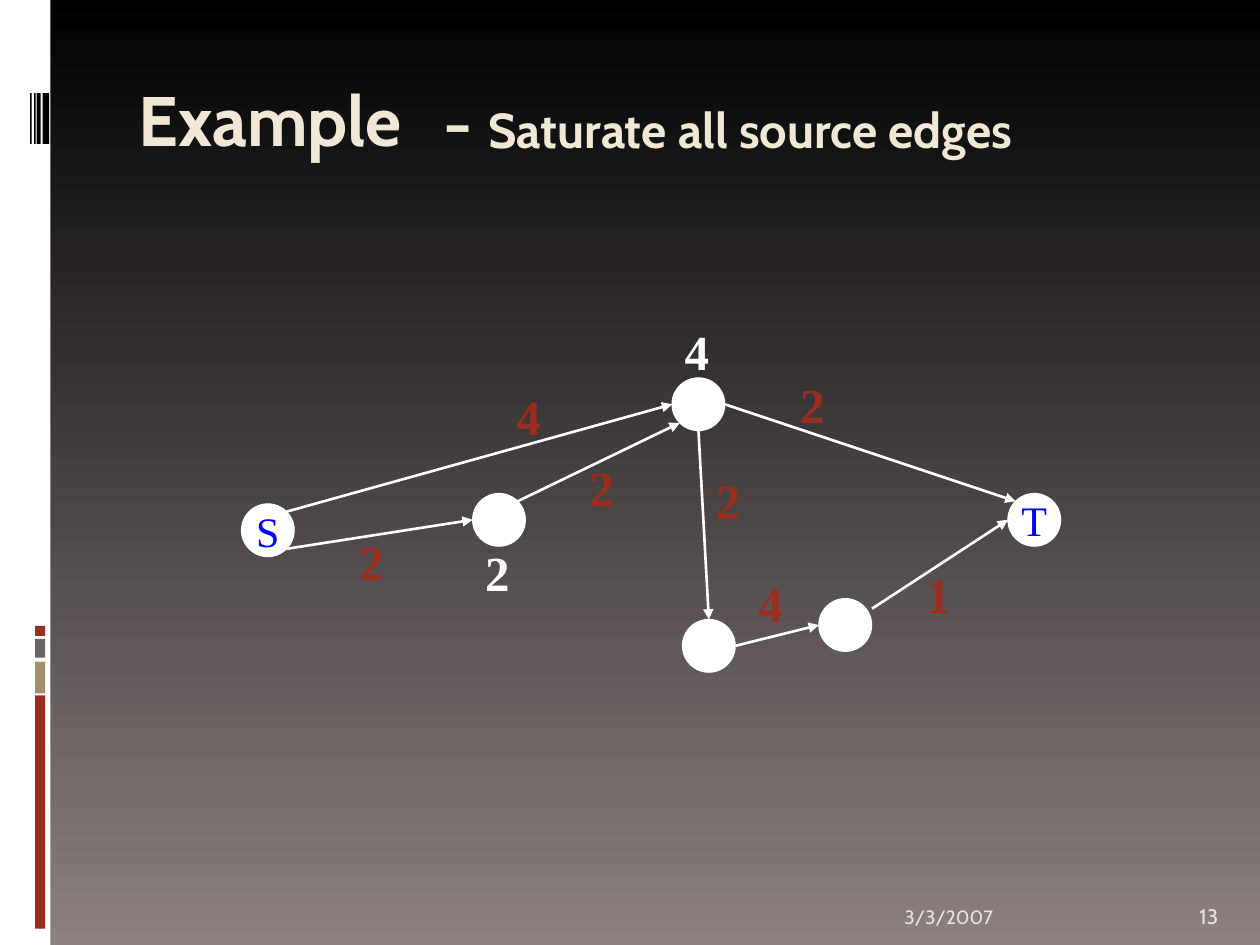
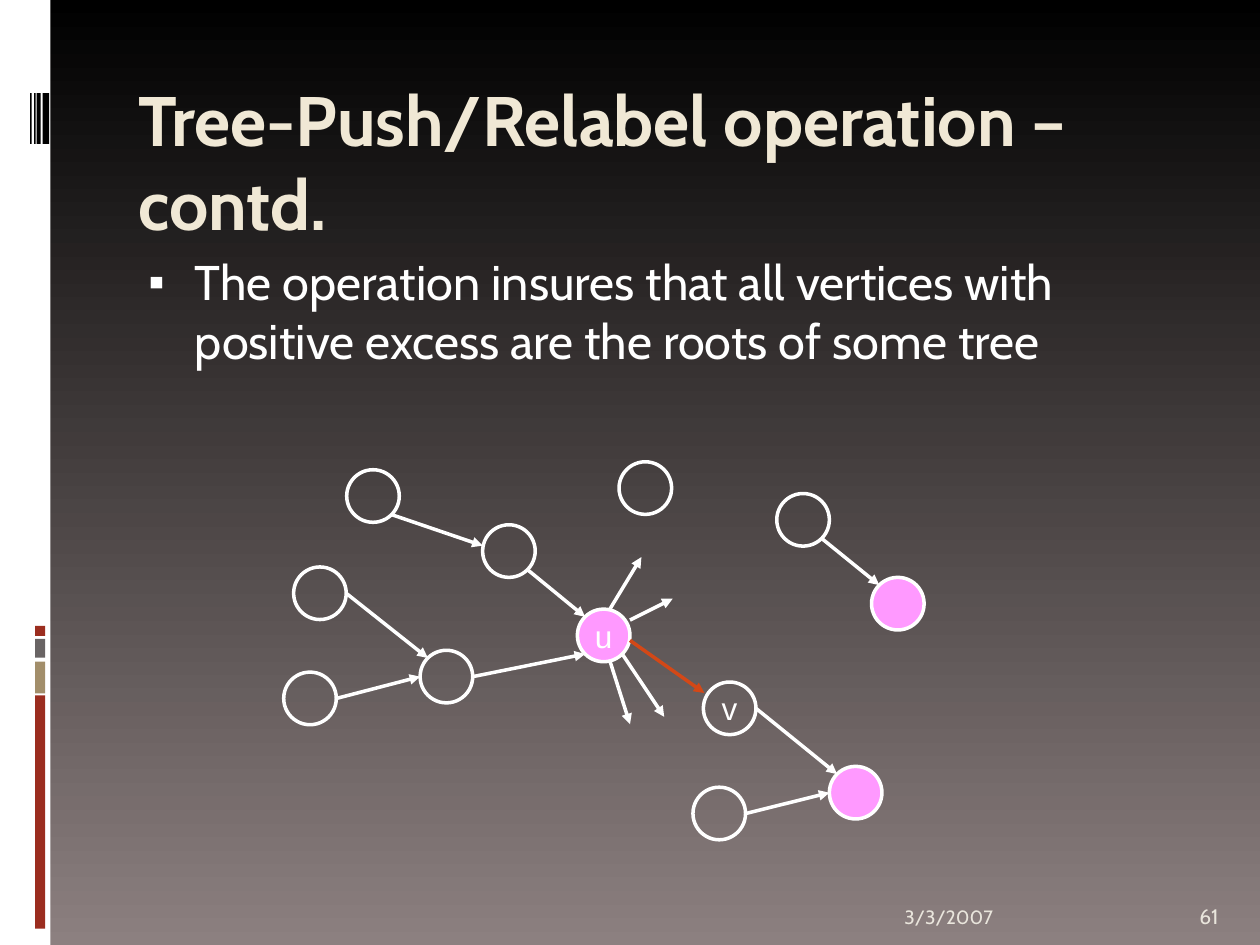
from math import cos, radians, sin

from lxml import etree
from pptx import Presentation
from pptx.dml.color import RGBColor
from pptx.enum.shapes import MSO_CONNECTOR, MSO_SHAPE
from pptx.enum.text import MSO_ANCHOR, MSO_AUTO_SIZE, PP_ALIGN
from pptx.oxml.ns import qn
from pptx.util import Cm, Pt

RECT, OVAL = MSO_SHAPE.RECTANGLE, MSO_SHAPE.OVAL
LINE = MSO_CONNECTOR.STRAIGHT
TOP, MID, LOW = MSO_ANCHOR.TOP, MSO_ANCHOR.MIDDLE, MSO_ANCHOR.BOTTOM
LEFT, CENTER = PP_ALIGN.LEFT, PP_ALIGN.CENTER
FIXED = MSO_AUTO_SIZE.NONE

HUES = {
    "white": "FFFFFF", "black": "000000", "dusk": "8C8080", "cream": "F0E8D5",
    "pale": "E9E5DC", "rust": "9B2D1F", "tan": "A28E6A", "gray": "696464",
    "blue": "0000FF", "pink": "FF99FF", "flame": "D34817",
}
FONTS = {
    "title": {"name": "Cabin", "size": Pt(40), "bold": True},
    "sub": {"name": "Cabin", "size": Pt(28), "bold": True},
    "body": {"name": "Cabin", "size": Pt(27.8), "bold": False},
    "date": {"name": "Cabin", "size": Pt(11)},
    "page": {"name": "Cabin", "size": Pt(12)},
    "label": {"name": "Times New Roman", "size": Pt(28), "bold": True},
    "end": {"name": "Times New Roman", "size": Pt(24)},
    "node": {"name": "Arial", "size": Pt(18)},
}
BANDS = [
    ("white", 0, 0, 1.02, 19.05),
    ("rust", 0.71, 14.02, 0.2, 4.7),
    ("tan", 0.71, 13.34, 0.2, 0.64),
    ("gray", 0.71, 12.88, 0.2, 0.38),
    ("rust", 0.71, 12.62, 0.2, 0.2),
    ("black", 0.86, 1.88, 0.13, 1.02),
    ("black", 0.74, 1.88, 0.08, 1.02),
    ("black", 0.69, 1.88, 0.03, 1.02),
    ("black", 0.61, 1.88, 0.03, 1.02),
]
SITES = ["N", "NW", "W", "SW", "S", "SE", "E", "NE"]
NODE = 1.06


def color(hue):
    return RGBColor.from_string(HUES[hue])


def assign(item, values):
    for key, value in values.items():
        setattr(item, key, value)


def add_tag(parent, tag, **values):
    return etree.SubElement(parent, qn(tag), values)


class Deck:
    def __init__(self):
        self.prs = Presentation()
        assign(self.prs, {"slide_width": Cm(25.4), "slide_height": Cm(19.05)})
        fill = self.prs.slide_master.background.fill
        fill.gradient()
        fill.gradient_angle = 270
        for stop, hue in zip(fill.gradient_stops, ("black", "dusk")):
            stop.color.rgb = color(hue)

    def start(self, layout, title, width, page):
        self.slide = self.prs.slides.add_slide(self.prs.slide_layouts[layout])
        self.shapes = self.slide.shapes
        for hue, *box in BANDS:
            self.band(hue, box)
        self.place(self.shapes.title, (2.54, 1.42, width, 2.54))
        self.letter(self.shapes.title, [(title, "title", "cream")])
        self.text((17.98, 17.83, 5.92, 1.02), [("3/3/2007", "date", "pale")], LOW)
        self.text((23.93, 17.83, 1.27, 1.02), [(page, "page", "pale")], LOW)

    def place(self, shape, box):
        assign(shape, dict(zip(("left", "top", "width", "height"), map(Cm, box))))

    def letter(self, shape, runs, anchor=TOP, align=LEFT, wrap=True):
        frame = shape.text_frame
        assign(frame, {
            "auto_size": FIXED, "word_wrap": wrap, "vertical_anchor": anchor,
            "margin_left": Cm(0.25), "margin_right": Cm(0.25),
            "margin_top": Cm(0.13), "margin_bottom": Cm(0.13),
        })
        para = frame.paragraphs[0]
        assign(para, {"alignment": align, "space_before": Pt(0)})
        for words, style, hue in runs:
            run = para.add_run()
            run.text = words
            assign(run.font, FONTS[style])
            run.font.color.rgb = color(hue)

    def text(self, box, runs, anchor=TOP):
        self.letter(self.shapes.add_textbox(*map(Cm, box)), runs, anchor)

    def label(self, words, left, top, hue="rust"):
        self.text((left, top, NODE, 1.45), [(words, "label", hue)])

    def bullet(self, box, words):
        body = self.slide.placeholders[1]
        self.place(body, box)
        self.letter(body, [(words, "body", "white")])
        props = body.element.find(".//" + qn("a:pPr"))
        props.set("marL", str(Cm(1.14)))
        props.set("indent", str(Cm(-0.94)))
        add_tag(add_tag(props, "a:buClr"), "a:srgbClr", val=HUES["white"])
        add_tag(props, "a:buSzPct", val="95000")
        add_tag(props, "a:buChar", char="▪")

    def band(self, hue, box):
        shape = self.shapes.add_shape(RECT, *map(Cm, box))
        shape.shadow.inherit = False
        shape.fill.solid()
        shape.fill.fore_color.rgb = color(hue)
        shape.line.fill.background()

    def node(self, left, top, fill=None, weight=2, run=None):
        shape = self.shapes.add_shape(OVAL, *map(Cm, (left, top, NODE, NODE)))
        shape.shadow.inherit = False
        if fill:
            shape.fill.solid()
            shape.fill.fore_color.rgb = color(fill)
        else:
            shape.fill.background()
        shape.line.color.rgb = color("white")
        shape.line.width = Pt(weight)
        if run:
            self.letter(shape, [run], MID, CENTER, False)
        return shape

    def point(self, end):
        spot, side = end
        if not isinstance(side, str):
            return Cm(spot), Cm(side)
        turn = radians(90 + 45 * SITES.index(side))
        half = spot.width / 2
        return (round(spot.left + half + half * cos(turn)),
                round(spot.top + half - half * sin(turn)))

    def arrow(self, start, stop, weight=2, hue="white"):
        first, last = self.point(start), self.point(stop)
        link = self.shapes.add_connector(LINE, *first, *last)
        link.line.color.rgb = color(hue)
        link.line.width = Pt(weight)
        props = link.element.spPr
        add_tag(props.find(qn("a:ln")), "a:tailEnd", type="triangle")
        add_tag(props, "a:effectLst")
        joins = ((start, link.begin_connect, "a:stCxn"),
                 (stop, link.end_connect, "a:endCxn"))
        for (spot, side), join, tag in joins:
            if isinstance(side, str):
                join(spot, 0)
                link.element.find(".//" + qn(tag)).set("idx", str(SITES.index(side)))
        assign(link, dict(zip(("begin_x", "begin_y", "end_x", "end_y"), first + last)))


def draw_flow(deck):
    deck.start(5, "Example", 6.99, "13")
    deck.text((8.69, 1.45, 15.24, 2.54), [
        ("- ", "title", "cream"), ("Saturate all source edges", "sub", "cream")])
    spots = {"S": (4.87, 10.16), "a": (9.53, 9.95), "b": (13.55, 7.62),
             "c": (13.76, 12.49), "d": (16.51, 12.07), "T": (20.32, 9.95)}
    nodes = {}
    for name, spot in spots.items():
        run = (name, "end", "blue") if name in "ST" else None
        nodes[name] = deck.node(*spot, "white", 0.75, run)
    s, a, b, c, d, t = nodes.values()
    for start, stop in [
        ((s, "NE"), (b, "W")), ((s, "SE"), (a, "W")),
        ((a, "NE"), (b, "SW")), ((b, "S"), (c, "N")),
        ((b, "E"), (t, "NW")), ((c, "E"), (d, "W")),
        ((17.58, 12.27), (t, "W")),
    ]:
        deck.arrow(start, stop, 1.5)
    for item in [
        ("4", 10.16, 7.67), ("1", 18.42, 11.25), ("2", 15.88, 7.42),
        ("2", 6.99, 10.59), ("4", 15.04, 11.43), ("2", 11.63, 9.09),
        ("2", 14.18, 9.35),
        ("2", 9.53, 10.8, "white"), ("4", 13.55, 6.35, "white"),
    ]:
        deck.label(*item)


def draw_trees(deck):
    deck.start(1, "Tree-Push/Relabel operation – contd.", 21.59, "61")
    deck.bullet((2.54, 4.95, 21.59, 3.3),
                "The operation insures that all vertices with positive excess "
                "are the roots of some tree")
    plain = [(6.99, 9.47), (9.73, 10.58), (5.92, 11.43), (5.72, 13.55),
             (8.47, 13.11), (15.66, 9.95), (13.97, 15.87), (12.48, 9.31)]
    a, b, c, d, e, f, g, _ = [deck.node(*spot) for spot in plain]
    u = deck.node(11.64, 12.28, "pink", run=("u", "node", "white"))
    v = deck.node(14.18, 13.75, run=("v", "node", "white"))
    y, z = [deck.node(*spot, "pink") for spot in ((17.57, 11.64), (16.72, 15.45))]
    for start, stop in [
        ((a, "SE"), (9.73, 11)), ((b, "SE"), (u, "NW")),
        ((c, "E"), (e, "NW")), ((d, "E"), (e, "W")),
        ((e, "E"), (u, "SW")), ((f, "SE"), (y, "NW")),
        ((g, "E"), (z, "W")), ((v, "E"), (z, "NW")),
        ((12.3, 13.34), (12.7, 14.6)), ((u, "SE"), (13.39, 14.45)),
        ((12.7, 12.5), (13.56, 12.07)), ((12.3, 12.27), (12.93, 11.23)),
    ]:
        deck.arrow(start, stop)
    deck.arrow((12.7, 12.91), (14.2, 13.97), hue="flame")


def main():
    deck = Deck()
    draw_flow(deck)
    draw_trees(deck)
    deck.prs.save("out.pptx")


if __name__ == "__main__":
    main()
